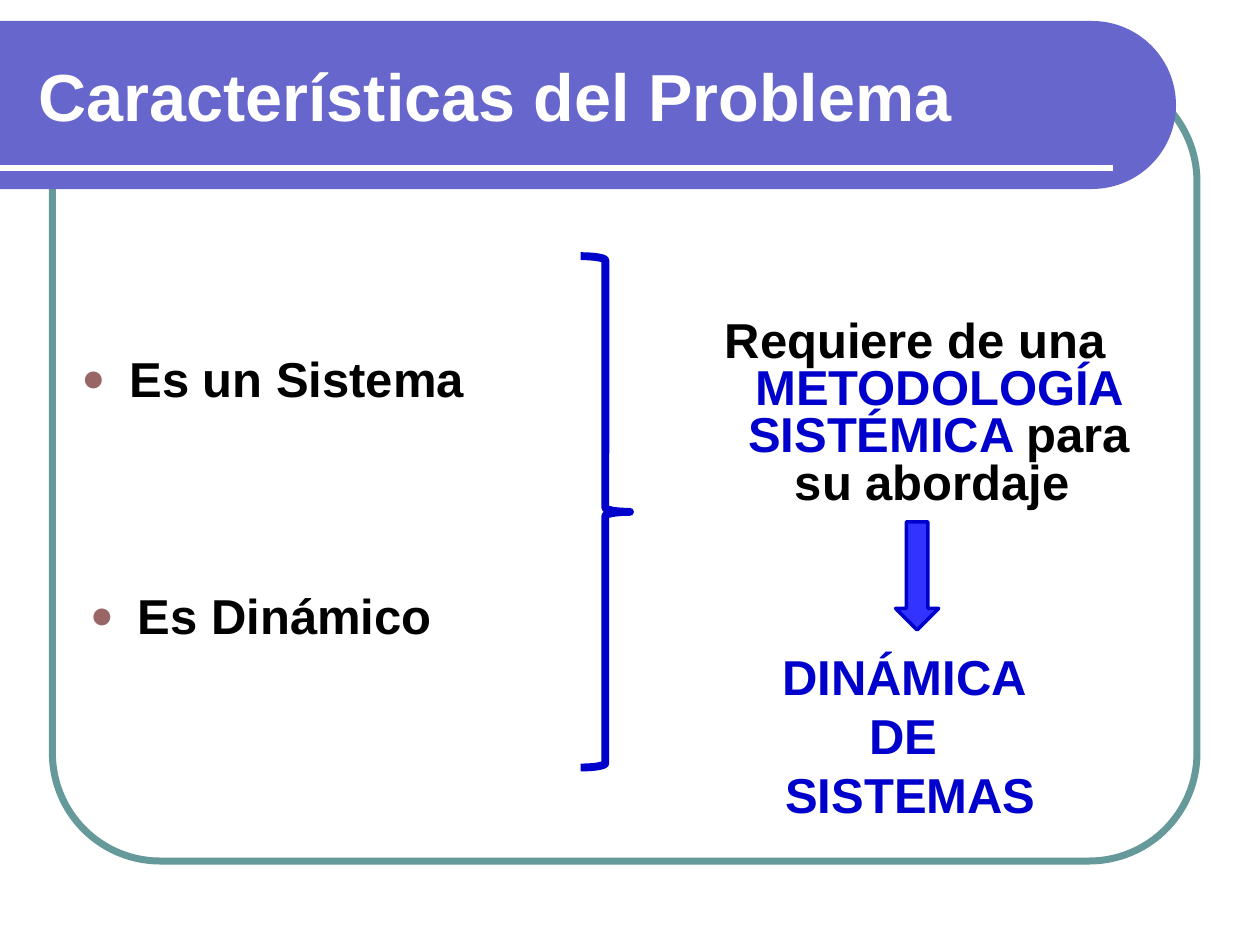
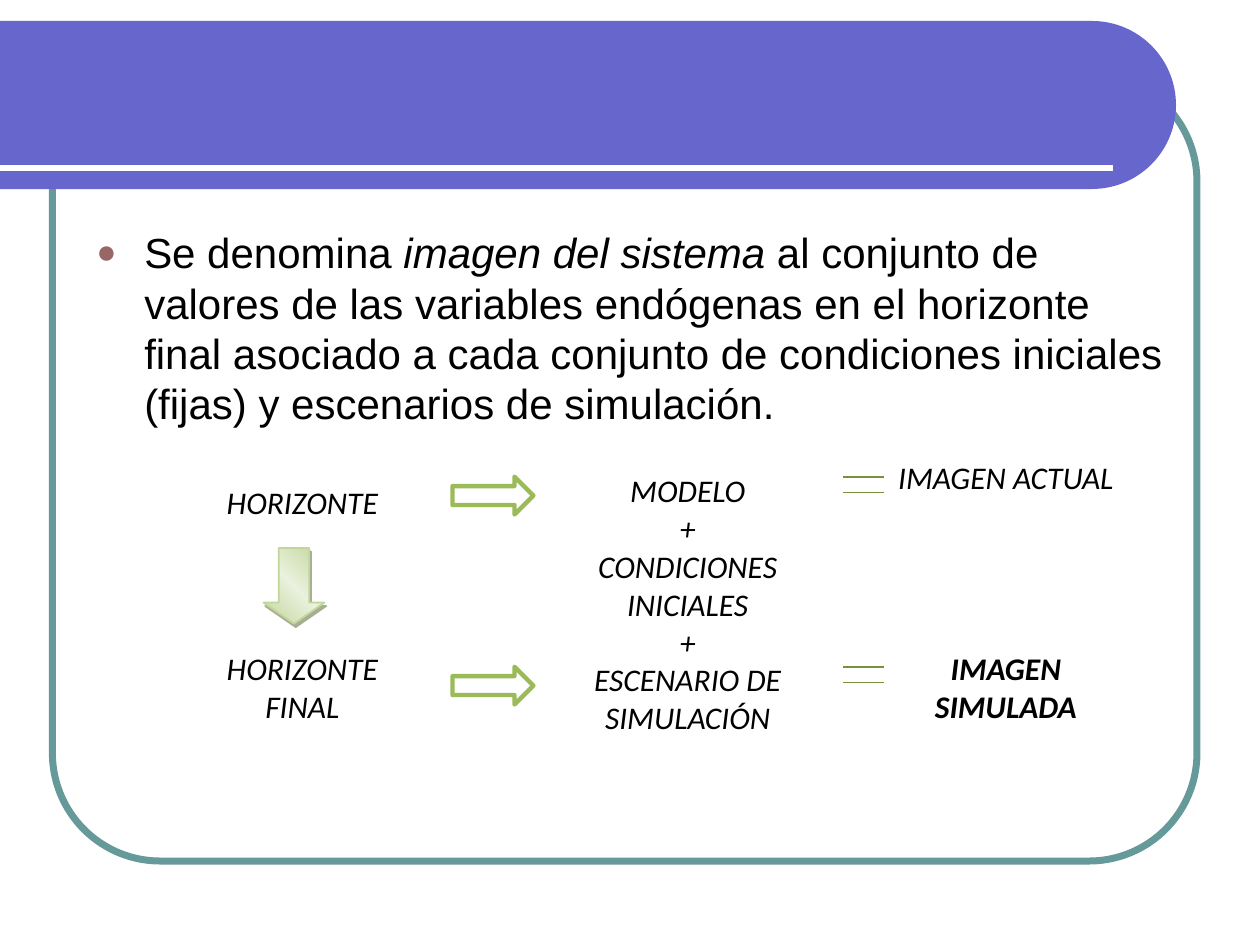
from math import cos, sin, pi
from lxml import etree
from pptx import Presentation
from pptx.dml.color import RGBColor as RGB
from pptx.enum.shapes import MSO_CONNECTOR as Link, MSO_SHAPE as Kind
from pptx.enum.text import MSO_ANCHOR as Anchor, PP_ALIGN as Align
from pptx.oxml import parse_xml
from pptx.oxml.ns import nsdecls, qn
from pptx.util import Inches, Pt

WHITE = RGB(0xFF, 0xFF, 0xFF)
BLACK = RGB(0, 0, 0)
TEAL = RGB(0x66, 0x99, 0x99)
VIOLET = RGB(0x66, 0x66, 0xCC)
NAVY = RGB(0, 0, 0xCC)
BLUE = RGB(0x33, 0x33, 0xFF)
GREEN = RGB(0x9B, 0xBB, 0x59)
PALE = RGB(0xC2, 0xD6, 0x9B)
OLIVE = RGB(0x76, 0x92, 0x3C)

deck = Presentation()
deck.slide_width, deck.slide_height = Inches(10), Inches(7.5)
U = deck.slide_width / 120


def write(slide, area, lines, size, font="Arial", bold=False, slant=False,
          color=BLACK, align=Align.CENTER, dot=False, hang=False, lead=None):
    box = slide.shapes.add_textbox(*[round(n * U) for n in area])
    frame = box.text_frame
    frame.word_wrap = True
    for i, line in enumerate(lines):
        para = frame.paragraphs[0] if i == 0 else frame.add_paragraph()
        para.alignment = align
        if lead:
            para.line_spacing = lead
        props = para._p.get_or_add_pPr()
        if hang:
            props.set("marL", str(Inches(0.38)))
            props.set("indent", str(-Inches(0.38)))
        if dot:
            for xml in ('<a:buClr {}><a:srgbClr val="996666"/></a:buClr>',
                        '<a:buSzPct {} val="80000"/>',
                        '<a:buFont {} typeface="Arial"/>',
                        '<a:buChar {} char="●"/>'):
                props.append(parse_xml(xml.format(nsdecls("a"))))
        for words, tint, tilt in line if isinstance(line, list) else [(line, color, slant)]:
            run = para.add_run()
            run.text = words
            face = run.font
            face.name, face.size = font, Pt(size)
            face.bold, face.italic = bold, tilt
            face.color.rgb = tint
    return frame


def draw(slide, kind, area, line, width, fill=None):
    area = [round(n * U) for n in area]
    if kind == Link.STRAIGHT:
        item = slide.shapes.add_connector(kind, *area)
        etree.SubElement(item._element.spPr, qn("a:effectLst"))
    else:
        item = slide.shapes.add_shape(kind, *area)
        item.shadow.inherit = False
        if fill is None:
            item.fill.background()
        else:
            item.fill.solid()
            item.fill.fore_color.rgb = fill
    item.line.color.rgb = line
    item.line.width = Pt(width)
    return item


pages = [deck.slides.add_slide(deck.slide_layouts[6]) for _ in range(2)]
for page in pages:
    edge = draw(page, Kind.ROUNDED_RECTANGLE, (5, 7, 109, 75), TEAL, 4)
    edge.adjustments[0] = 0.137
    arc = [(104 + 8 * sin(pi * k / 60), 10 - 8 * cos(pi * k / 60)) for k in range(61)]
    pen = page.shapes.build_freeform(0, round(2 * U))
    pen.add_line_segments([(round(x * U), round(y * U)) for x, y in arc + [(0, 18)]])
    band = pen.convert_to_shape()
    band.shadow.inherit = False
    band.fill.solid()
    band.fill.fore_color.rgb = VIOLET
    band.line.fill.background()
    draw(page, Link.STRAIGHT, (0, 16, 106, 16), WHITE, 3)

first, second = pages
title = write(first, (2.5, 3, 105.25, 12), ["Características del Problema"], 38,
              bold=True, color=WHITE, align=Align.LEFT)
title.vertical_anchor = Anchor.MIDDLE
for area, trait in [((6.6, 33.7, 44.9, 12.2), "Es un Sistema"),
                    ((7.4, 56.3, 41.3, 9.4), "Es Dinámico")]:
    write(first, area, [trait], 28, bold=True, align=Align.LEFT,
          dot=True, hang=True, lead=0.8)
draw(first, Kind.RIGHT_BRACE, (55.3, 24.4, 4.7, 48.7), NAVY, 4.5)
need = [("Requiere de una ", BLACK, False),
        ("METODOLOGÍA SISTÉMICA ", NAVY, False),
        ("para su abordaje ", BLACK, False)]
write(first, (64.7, 30, 44.9, 19.7), [need], 28, bold=True, hang=True, lead=0.8)
draw(first, Kind.DOWN_ARROW, (85.3, 49.7, 4.1, 10.3), NAVY, 2, BLUE)
write(first, (68.4, 61, 36.6, 18.1), ["DINÁMICA ", "DE ", "SISTEMAS"], 28,
      bold=True, color=NAVY)

claim = [("Se denomina ", BLACK, False),
         ("imagen del sistema ", BLACK, True),
         ("al conjunto de valores de las variables endógenas en el horizonte final "
          "asociado a cada conjunto de condiciones iniciales (fijas) y escenarios "
          "de simulación.", BLACK, False)]
write(second, (8, 21, 104, 23), [claim], 24, align=Align.LEFT, dot=True, hang=True)

LEFT, MID, RIGHT = 28.8, 65.5, 95.8
WIDE = 24.5
model = ["MODELO", "+", "CONDICIONES INICIALES", "+", "ESCENARIO DE SIMULACIÓN"]
for mid, top, high, lines, bold in [
        (LEFT, 45.4, 5.6, ["HORIZONTE"], False),
        (LEFT, 61.2, 8, ["HORIZONTE", "FINAL"], False),
        (MID, 44.3, 27.2, model, False),
        (RIGHT, 43, 8.3, ["IMAGEN ACTUAL"], False),
        (RIGHT, 61.2, 8, ["IMAGEN SIMULADA"], True)]:
    write(second, (mid - WIDE / 2, top, WIDE, high), lines, 18, "Calibri",
          bold=bold, slant=True)

down = draw(second, Kind.DOWN_ARROW, (25.1, 52.2, 5.8, 7.2), PALE, 1, PALE)
down.adjustments[1] = 0.345
props = down._element.spPr
props.replace(props.find(qn("a:solidFill")), parse_xml(
    f'<a:gradFill {nsdecls("a")}><a:gsLst>'
    '<a:gs pos="0"><a:srgbClr val="C2D69B"/></a:gs>'
    '<a:gs pos="50000"><a:srgbClr val="EAF1DD"/></a:gs>'
    '<a:gs pos="100000"><a:srgbClr val="C2D69B"/></a:gs>'
    '</a:gsLst><a:lin ang="18900000" scaled="1"/></a:gradFill>'))
props.find(qn("a:effectLst")).append(parse_xml(
    f'<a:outerShdw {nsdecls("a")} dist="28000" dir="3780000" algn="ctr" rotWithShape="0">'
    '<a:srgbClr val="4E6128"><a:alpha val="50000"/></a:srgbClr></a:outerShdw>'))

for row in (45.4, 63.5):
    draw(second, Kind.RIGHT_ARROW, (43.1, row, 7.7, 3.6), GREEN, 2.5, WHITE)
    for y in (row, row + 1.5):
        draw(second, Link.STRAIGHT, (80.3, y, 84.2, y), OLIVE, 1)

deck.save("out.pptx")
